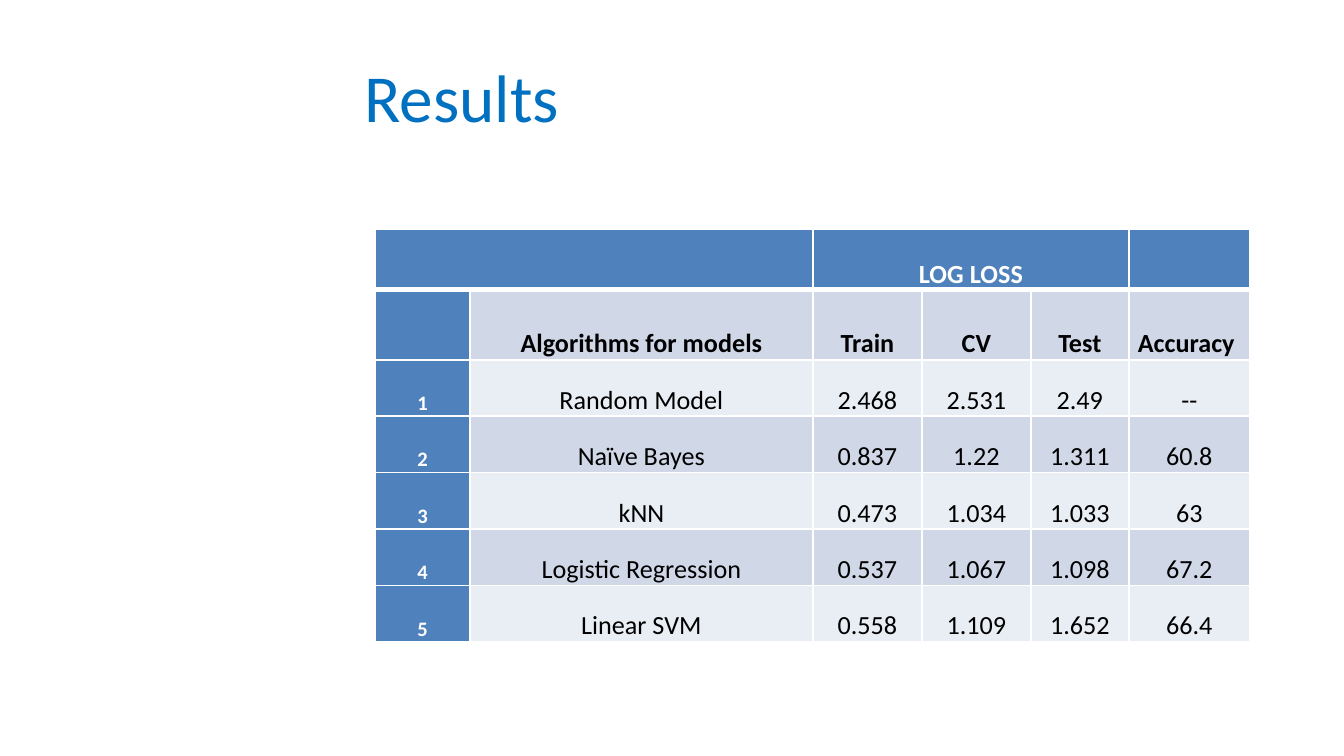
from dataclasses import dataclass

from lxml import etree
from pptx import Presentation
from pptx.dml.color import RGBColor
from pptx.enum.text import MSO_ANCHOR, MSO_AUTO_SIZE, PP_ALIGN
from pptx.oxml.ns import qn
from pptx.util import Pt

LEFT, CENTER = PP_ALIGN.LEFT, PP_ALIGN.CENTER
MIDDLE, BOTTOM = MSO_ANCHOR.MIDDLE, MSO_ANCHOR.BOTTOM
NO_AUTOFIT = MSO_AUTO_SIZE.NONE
TITLE_ONLY = 5
EMU_PER_PX = 914400 / 134.4


@dataclass(frozen=True)
class Theme:
    font: str = "Calibri"
    title: str = "0070C0"
    header: str = "4F81BD"
    bands: tuple = ("E9EDF4", "D0D8E8")
    light: str = "FFFFFF"
    dark: str = "000000"
    title_size: int = 36
    body_size: int = 14
    index_size: int = 11
    rule: int = 1
    header_rule: int = 3


THEME = Theme()
COLUMN_WIDTHS = [95, 343, 109, 109, 98, 121]
HEADER_HEIGHTS = [61, 70]
BODY_HEIGHT = 282
GROUPS = ["", "", "LOG LOSS", "", "", ""]
HEADINGS = ["", "Algorithms for models", "Train", "CV", "Test", "Accuracy"]
RESULTS = [
    ["Random Model", "2.468", "2.531", "2.49", "--"],
    ["Naïve Bayes", "0.837", "1.22", "1.311", "60.8"],
    ["kNN", "0.473", "1.034", "1.033", "63"],
    ["Logistic Regression", "0.537", "1.067", "1.098", "67.2"],
    ["Linear SVM", "0.558", "1.109", "1.652", "66.4"],
]


def px(length):
    return round(length * EMU_PER_PX)


def add_run(paragraph, text, size, color, bold=False):
    run = paragraph.add_run()
    run.text = text
    run.font.name = THEME.font
    run.font.size = Pt(size)
    run.font.bold = bold
    run.font.color.rgb = RGBColor.from_string(color)


def add_title(slide, text):
    title = slide.shapes.title
    title.left, title.top, title.width, title.height = map(px, (351, 43, 923, 106))
    frame = title.text_frame
    frame.auto_size = NO_AUTOFIT
    frame.vertical_anchor = MIDDLE
    frame.paragraphs[0].alignment = LEFT
    add_run(frame.paragraphs[0], text, THEME.title_size, THEME.title)


def set_borders(cell, row):
    widths = {
        "L": THEME.rule,
        "R": THEME.rule,
        "T": THEME.header_rule if row == 1 else THEME.rule,
        "B": THEME.header_rule if row == 0 else THEME.rule,
    }
    properties = cell._tc.get_or_add_tcPr()
    for side, width in widths.items():
        line = etree.SubElement(properties, qn(f"a:ln{side}"), w=str(Pt(width)))
        fill = etree.SubElement(line, qn("a:solidFill"))
        etree.SubElement(fill, qn("a:srgbClr"), val=THEME.light)


def format_cell(cell, text, row, column):
    set_borders(cell, row)
    in_header = row == 0 or column == 0
    background = THEME.header if in_header else THEME.bands[row % 2]
    cell.fill.solid()
    cell.fill.fore_color.rgb = RGBColor.from_string(background)
    if not text:
        return
    cell.vertical_anchor = BOTTOM
    cell.margin_left = cell.margin_right = px(9)
    cell.margin_top = cell.margin_bottom = 0
    paragraph = cell.text_frame.paragraphs[0]
    paragraph.alignment = LEFT if text == HEADINGS[-1] else CENTER
    paragraph.line_spacing = 1.07
    paragraph.space_after = Pt(8)
    add_run(
        paragraph,
        text,
        THEME.index_size if column == 0 else THEME.body_size,
        THEME.light if in_header else THEME.dark,
        bold=in_header or row == 1,
    )


def add_results_table(slide):
    numbered = [[str(i), *result] for i, result in enumerate(RESULTS, 1)]
    rows = [GROUPS, HEADINGS, *numbered]
    table = slide.shapes.add_table(
        len(rows), len(HEADINGS), px(375), px(229),
        px(sum(COLUMN_WIDTHS)), px(sum(HEADER_HEIGHTS) + BODY_HEIGHT),
    ).table
    for column, width in zip(table.columns, COLUMN_WIDTHS):
        column.width = px(width)
    body_row = px(BODY_HEIGHT) // len(RESULTS)
    heights = [px(h) for h in HEADER_HEIGHTS] + [body_row] * len(RESULTS)
    for row, height in zip(table.rows, heights):
        row.height = height
    table.cell(0, 0).merge(table.cell(0, 1))
    table.cell(0, 2).merge(table.cell(0, 4))
    for r, texts in enumerate(rows):
        for c, text in enumerate(texts):
            format_cell(table.cell(r, c), text, r, c)


def main():
    deck = Presentation()
    deck.slide_width, deck.slide_height = px(1344), px(756)
    slide = deck.slides.add_slide(deck.slide_layouts[TITLE_ONLY])
    add_title(slide, "Results")
    add_results_table(slide)
    deck.save("out.pptx")


if __name__ == "__main__":
    main()
